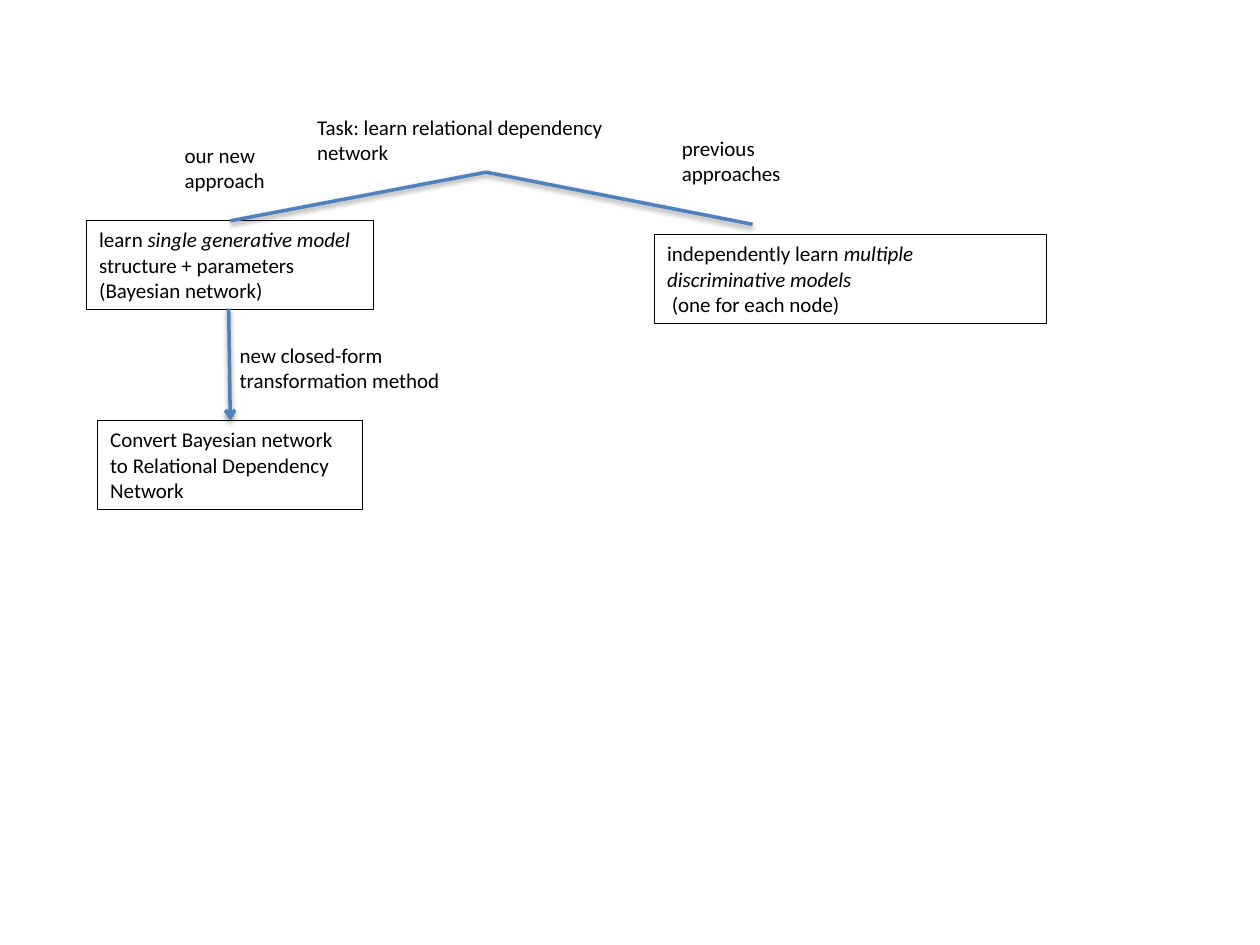
from lxml import etree
from pptx import Presentation
from pptx.dml.color import RGBColor
from pptx.enum.shapes import MSO_CONNECTOR, MSO_SHAPE
from pptx.enum.text import MSO_ANCHOR, MSO_AUTO_SIZE, PP_ALIGN
from pptx.oxml import parse_xml
from pptx.oxml.ns import nsdecls, qn
from pptx.util import Pt

RECTANGLE = MSO_SHAPE.RECTANGLE
STRAIGHT = MSO_CONNECTOR.STRAIGHT
TOP = MSO_ANCHOR.TOP
GROW = MSO_AUTO_SIZE.SHAPE_TO_FIT_TEXT
LEFT = PP_ALIGN.LEFT

COLORS = {"ink": "000000", "branch": "4F81BD"}
FONT = "Calibri"
BOX_HEIGHT = 50.9
LABEL_HEIGHT = 36.35

# Each line of a box is a list of (text, italic) spans
BOXES = [
    (49.6, 126.2, 163.9, [
        [("learn ", False), ("single generative model", True)],
        [("structure + parameters", False)],
        [("(Bayesian network)", False)]]),
    (55.9, 240.5, 151.2, [
        [("Convert Bayesian network to Relational Dependency Network", False)]]),
    (374.1, 134.1, 223.9, [
        [("independently learn ", False), ("multiple discriminative models", True)],
        [(" (one for each node)", False)]]),
]
LABELS = [
    (174.1, 62, 207.4, "Task: learn relational dependency network"),
    (382.5, 73.8, 92.2, "previous approaches"),
    (98.4, 77.8, 92.2, "our new approach"),
    (129.9, 192.2, 131, "new closed-form transformation method"),
]
TASK_POINT = (277.9, 98.4)
LEFT_POINT = (131.6, 126.2)
RIGHT_POINT = (430.1, 128.2)


def rgb(name):
    return RGBColor.from_string(COLORS[name])


def format_text(frame):
    frame.word_wrap = True
    frame.auto_size = GROW
    frame.vertical_anchor = TOP
    para = frame.paragraphs[0]
    para.alignment = LEFT
    para.font.size = Pt(12)
    for span in para.runs:
        span.font.name = FONT
        span.font.size = Pt(12)
        span.font.color.rgb = rgb("ink")


def add_box(page, left, top, width, lines):
    box = page.shapes.add_shape(RECTANGLE, Pt(left), Pt(top), Pt(width), Pt(BOX_HEIGHT))
    box.shadow.inherit = False
    box.fill.background()
    box.line.color.rgb = rgb("ink")
    box.line.width = Pt(0.75)
    para = box.text_frame.paragraphs[0]
    for number, line in enumerate(lines):
        if number:
            para.add_line_break()
        for text, italic in line:
            span = para.add_run()
            span.text = text
            span.font.italic = italic
    format_text(box.text_frame)


def add_label(page, left, top, width, text):
    label = page.shapes.add_textbox(Pt(left), Pt(top), Pt(width), Pt(LABEL_HEIGHT))
    label.text_frame.text = text
    format_text(label.text_frame)


def add_branch(page, start, end, arrow=False):
    branch = page.shapes.add_connector(STRAIGHT, *(Pt(value) for value in start + end))
    branch.line.color.rgb = rgb("branch")
    branch.line.width = Pt(2)
    if arrow:
        outline = branch.line._get_or_add_ln()
        etree.SubElement(outline, qn("a:tailEnd"), type="arrow")
    # Soft shadow straight below the line
    branch._element.spPr.append(parse_xml(
        f'<a:effectLst {nsdecls("a")}>'
        f'<a:outerShdw blurRad="{Pt(3.15)}" dist="{Pt(1.57)}" dir="5400000" rotWithShape="0">'
        f'<a:srgbClr val="{COLORS["ink"]}"><a:alpha val="38000"/></a:srgbClr>'
        '</a:outerShdw></a:effectLst>'))


def main():
    deck = Presentation()
    deck.slide_width, deck.slide_height = Pt(720), Pt(540)
    page = deck.slides.add_slide(deck.slide_layouts[6])

    # Steps of both approaches
    for box in BOXES:
        add_box(page, *box)

    # Branches from the task, then the transformation arrow
    add_branch(page, TASK_POINT, RIGHT_POINT)
    add_branch(page, TASK_POINT, LEFT_POINT)
    add_branch(page, (130.7, 176.4), (131.6, 240.5), arrow=True)

    # Task and branch labels
    for label in LABELS:
        add_label(page, *label)

    deck.save("out.pptx")


if __name__ == "__main__":
    main()
